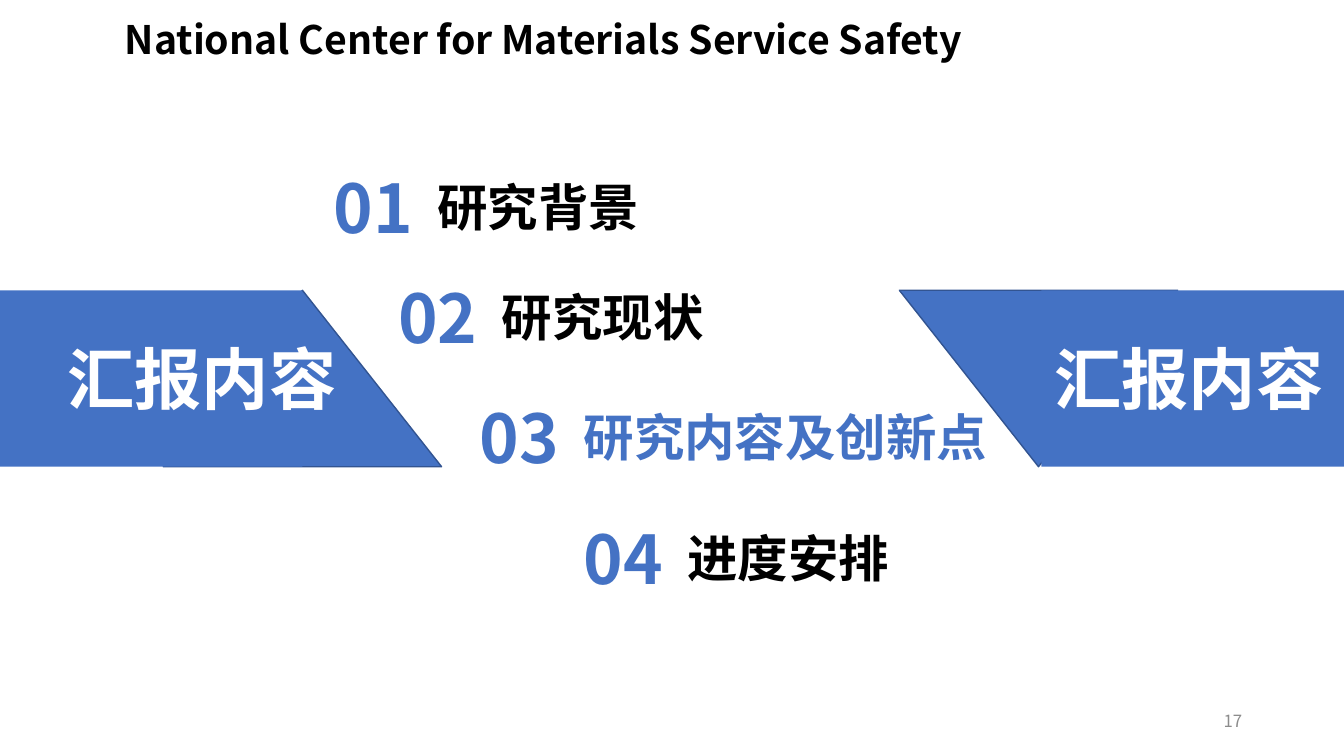
"""Build the section agenda slide with two side banners and four numbered topics."""
from lxml.etree import SubElement
from pptx import Presentation
from pptx.dml.color import RGBColor
from pptx.enum.shapes import MSO_SHAPE
from pptx.enum.text import MSO_ANCHOR, MSO_AUTO_SIZE, PP_ALIGN
from pptx.oxml.ns import qn
from pptx.util import Inches, Pt

FONT = "Noto Sans CJK SC"
BLUE = RGBColor(0x44, 0x72, 0xC4)
DARK_BLUE = RGBColor(0x32, 0x54, 0x91)
BLACK = RGBColor(0, 0, 0)
WHITE = RGBColor(0xFF, 0xFF, 0xFF)
GRAY = RGBColor(0x8C, 0x8C, 0x8C)

BANNER_TOP, BANNER_HEIGHT = 2.88, 1.75
NUMBER_WIDTH, NUMBER_HEIGHT = 1.03, 0.91
TOPIC_HEIGHT, TOPIC_DROP = 0.71, 0.1

presentation = Presentation()
presentation.slide_width = Inches(13.33)
presentation.slide_height = Inches(7.5)
slide = presentation.slides.add_slide(presentation.slide_layouts[6])


def add_text(text, left, top, width, height, size, color, bold=True):
    box = slide.shapes.add_textbox(Inches(left), Inches(top), Inches(width), Inches(height))
    frame = box.text_frame
    frame.word_wrap = False
    frame.auto_size = MSO_AUTO_SIZE.SHAPE_TO_FIT_TEXT
    run = frame.paragraphs[0].add_run()
    run.text = text
    for name, value in {"name": FONT, "size": Pt(size), "bold": bold}.items():
        setattr(run.font, name, value)
    run.font.color.rgb = color
    SubElement(run.font._element, qn("a:ea"), typeface=FONT)
    return frame


def add_banner_part(kind, left, width):
    shape = slide.shapes.add_shape(
        kind, Inches(left), Inches(BANNER_TOP), Inches(width), Inches(BANNER_HEIGHT))
    shape.shadow.inherit = False
    shape.fill.solid()
    shape.fill.fore_color.rgb = BLUE
    return shape


banners = [(1.62, 0, 0, 0.57), (8.92, 180, 10.33, 10.36)]
for slant_left, rotation, block_left, title_left in banners:
    slant = add_banner_part(MSO_SHAPE.TRAPEZOID, slant_left, 2.76)
    slant.adjustments[0] = 0.791
    slant.rotation = rotation
    slant.line.color.rgb = DARK_BLUE
    slant.line.width = Pt(1)
    block = add_banner_part(MSO_SHAPE.RECTANGLE, block_left, 3)
    block.line.fill.background()
    add_text("汇报内容", title_left, 3.3, 2.89, 0.91, 48, WHITE)

add_text("National Center for Materials Service Safety", 1.14, 0.1, 8.87, 0.57, 28, BLACK)

page_number = add_text("17", 9.42, 6.95, 3, 0.4, 12, GRAY, bold=False)
page_format = {"word_wrap": True, "auto_size": MSO_AUTO_SIZE.NONE,
               "vertical_anchor": MSO_ANCHOR.MIDDLE}
for name, value in page_format.items():
    setattr(page_number, name, value)
page_number.paragraphs[0].alignment = PP_ALIGN.RIGHT

topics = [
    ("研究背景", 3.21, 1.6, 2.22, BLACK),
    ("研究现状", 3.85, 2.69, 2.22, BLACK),
    ("研究内容及创新点", 4.66, 3.88, 4.24, BLUE),
    ("进度安排", 5.69, 5.08, 2.22, BLACK),
]
for number, (topic, left, top, width, color) in enumerate(topics, start=1):
    add_text(f"{number:02d}", left, top, NUMBER_WIDTH, NUMBER_HEIGHT, 48, BLUE)
    add_text(topic, left + NUMBER_WIDTH, top + TOPIC_DROP, width, TOPIC_HEIGHT, 36, color)

presentation.save("out.pptx")
